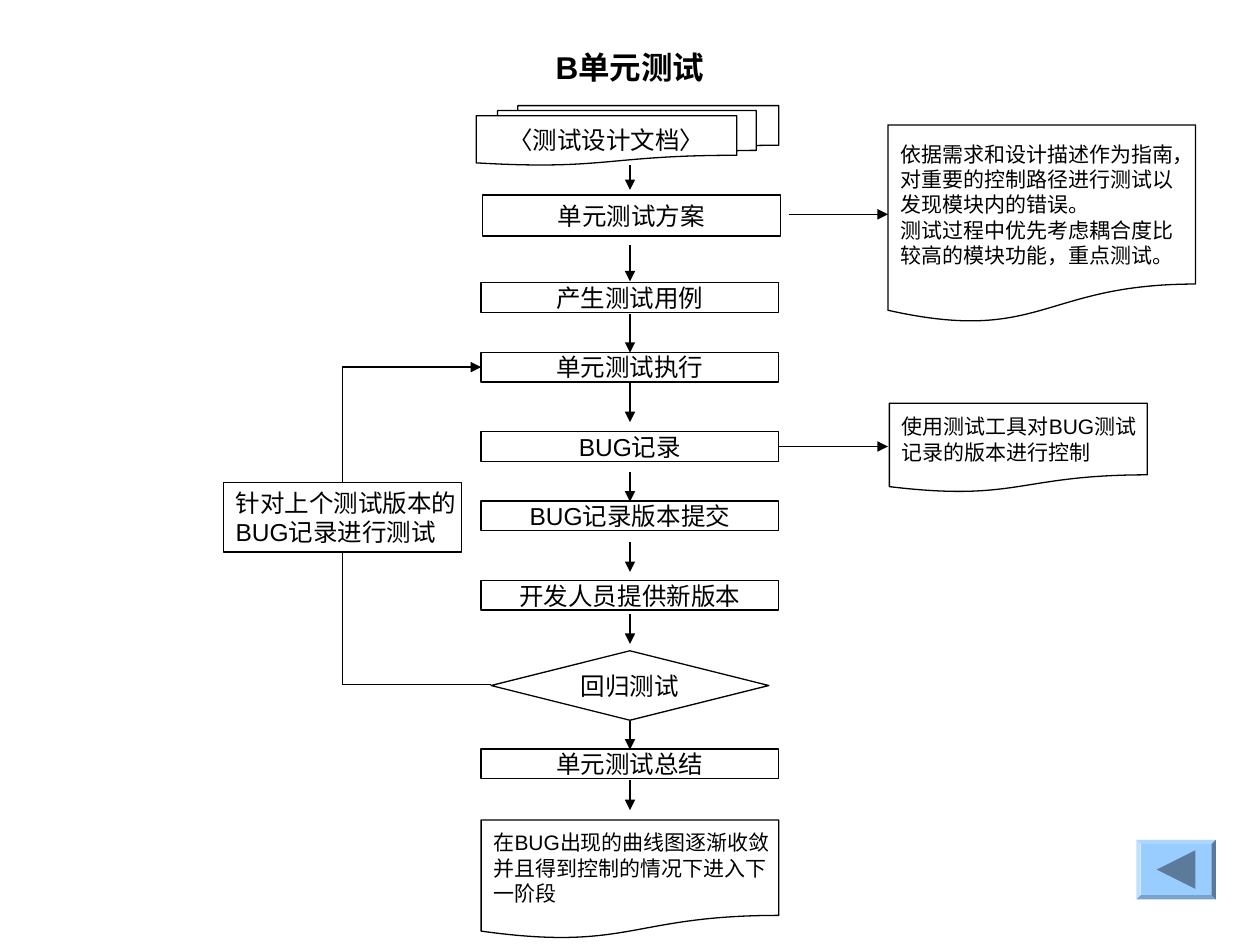
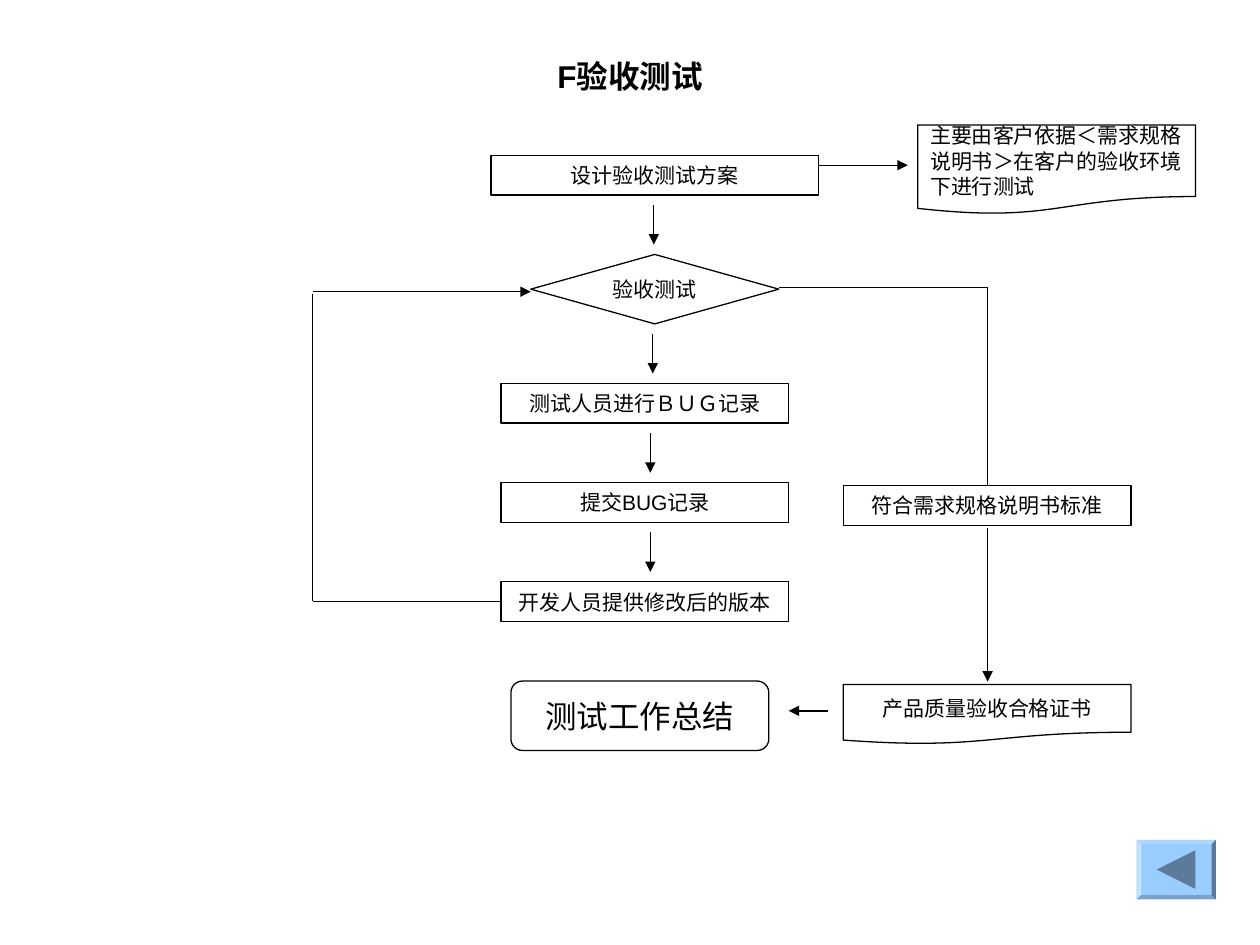
from lxml.etree import SubElement
from pptx import Presentation
from pptx.dml.color import RGBColor
from pptx.enum.lang import MSO_LANGUAGE_ID
from pptx.enum.shapes import MSO_CONNECTOR, MSO_SHAPE
from pptx.enum.text import MSO_ANCHOR, PP_ALIGN
from pptx.oxml.ns import qn
from pptx.util import Cm, Pt

FONT = "Arial"
INK = "000000"
BUTTON_FILL = "99CCFF"
BUTTON_ARROW = "5C7A99"
LINE_WIDTH = Pt(0.75)

PROCESS = MSO_SHAPE.FLOWCHART_PROCESS
DOCUMENT = MSO_SHAPE.FLOWCHART_DOCUMENT


def color(hex_string):
    return RGBColor.from_string(hex_string)


def write_text(shape, text, size, alignment, wrap=False, bold=False):
    """Fill a shape with one paragraph per line of text."""
    frame = shape.text_frame
    frame.word_wrap = wrap
    frame.vertical_anchor = MSO_ANCHOR.MIDDLE
    for index, line in enumerate(text.split("\n")):
        paragraph = frame.add_paragraph() if index else frame.paragraphs[0]
        paragraph.alignment = alignment
        run = paragraph.add_run()
        run.text = line
        run.font.name = FONT
        run.font.size = Pt(size)
        run.font.bold = bold
        run.font.color.rgb = color(INK)
        run.font.language_id = MSO_LANGUAGE_ID.SIMPLIFIED_CHINESE


# All places are in centimetres.
# Nodes: preset, left, top, width, height, text size, text (several lines: left aligned)
unit_steps = [
    (5.7, "产生测试用例"),
    (7.1, "单元测试执行"),
    (8.7, "BUG记录"),
    (10.1, "BUG记录版本提交"),
    (11.7, "开发人员提供新版本"),
    (15.1, "单元测试总结"),
]
unit_nodes = [(PROCESS, 9.7, top, 6, 0.6, 14, text) for top, text in unit_steps] + [
    (MSO_SHAPE.FLOWCHART_MULTIDOCUMENT, 9.6, 2.13, 6.1, 1.2, 14, "〈测试设计文档〉"),
    (PROCESS, 9.73, 3.93, 6, 0.83, 14, "单元测试方案"),
    (MSO_SHAPE.DIAMOND, 9.9, 13.12, 5.6, 1.4, 14, "回归测试"),
    (PROCESS, 4.5, 9.73, 4.8, 1.4, 14, "针对上个测试版本的\nBUG记录进行测试"),
    (DOCUMENT, 17.9, 2.52, 6.2, 4, 12,
     "依据需求和设计描述作为指南，\n对重要的控制路径进行测试以\n发现模块内的错误。\n"
     "测试过程中优先考虑耦合度比\n较高的模块功能，重点测试。"),
    (DOCUMENT, 17.93, 8.13, 5.2, 1.8, 12, "使用测试工具对BUG测试\n记录的版本进行控制"),
    (DOCUMENT, 9.7, 16.53, 6, 2.4, 12,
     "在BUG出现的曲线图逐渐收敛\n并且得到控制的情况下进入下\n一阶段"),
]

# Links: from x, from y, to x, to y, arrowhead
unit_flow = [(3.33, 3.83), (4.93, 5.67), (6.33, 7.11), (7.73, 8.51), (9.52, 10.11),
             (10.93, 11.53), (12.37, 12.98), (14.53, 15.11), (15.73, 16.33)]
unit_links = [(12.7, start, 12.7, end, True) for start, end in unit_flow] + [
    (15.9, 4.32, 17.9, 4.32, True),
    (15.7, 9, 17.9, 9, True),
    (9.9, 13.8, 6.9, 13.8, False),
    (6.9, 13.78, 6.9, 11.13, False),
    (6.9, 9.73, 6.9, 7.4, False),
    (6.9, 7.4, 9.7, 7.4, True),
]

acceptance_steps = ["测试人员进行ＢＵＧ记录", "提交BUG记录", "开发人员提供修改后的版本"]
acceptance_nodes = [
    (PROCESS, 10.1, 7.73 + 2 * row, 5.8, 0.8, 12, text)
    for row, text in enumerate(acceptance_steps)
] + [
    (PROCESS, 9.9, 3.13, 6.6, 0.8, 12, "设计验收测试方案"),
    (MSO_SHAPE.FLOWCHART_DECISION, 10.7, 5.13, 5, 1.4, 12, "验收测试"),
    (DOCUMENT, 18.5, 2.52, 5.6, 1.8, 12,
     "主要由客户依据＜需求规格\n说明书＞在客户的验收环境\n下进行测试"),
    (PROCESS, 17, 9.79, 5.8, 0.8, 12, "符合需求规格说明书标准"),
    (DOCUMENT, 17, 13.8, 5.8, 1.2, 12, "产品质量验收合格证书"),
    (MSO_SHAPE.FLOWCHART_ALTERNATE_PROCESS, 10.3, 13.73, 5.2, 1.4, 18, "测试工作总结"),
]
acceptance_links = [
    (13.18, 4.13, 13.18, 4.93, True),
    (13.16, 6.73, 13.16, 7.53, True),
    (13.11, 8.73, 13.11, 9.53, True),
    (13.11, 10.73, 13.11, 11.53, True),
    (16.5, 3.33, 18.3, 3.33, True),
    (15.7, 5.8, 19.91, 5.8, False),
    (19.91, 5.8, 19.91, 9.79, False),
    (19.91, 10.64, 19.91, 13.74, True),
    (16.7, 14.33, 15.9, 14.33, True),
    (10.1, 12.12, 6.3, 12.12, False),
    (6.3, 5.92, 6.3, 12.12, False),
    (6.3, 5.88, 10.7, 5.88, True),
]

# Slides: title, title height, nodes, links
flowcharts = [
    ("B单元测试", 1.17, unit_nodes, unit_links),
    ("F验收测试", 1.55, acceptance_nodes, acceptance_links),
]

presentation = Presentation()
presentation.slide_width = Cm(25.4)
presentation.slide_height = Cm(19.05)

for title, title_height, nodes, links in flowcharts:
    slide = presentation.slides.add_slide(presentation.slide_layouts[6])

    title_box = slide.shapes.add_textbox(Cm(1.27), Cm(0.76), Cm(22.86), Cm(title_height))
    write_text(title_box, title, 18, PP_ALIGN.CENTER, wrap=True, bold=True)

    for preset, left, top, width, height, size, text in nodes:
        node = slide.shapes.add_shape(preset, Cm(left), Cm(top), Cm(width), Cm(height))
        node.shadow.inherit = False
        node.fill.background()
        node.line.color.rgb = color(INK)
        node.line.width = LINE_WIDTH
        alignment = PP_ALIGN.LEFT if "\n" in text else PP_ALIGN.CENTER
        write_text(node, text, size, alignment)

    for from_x, from_y, to_x, to_y, has_arrowhead in links:
        link = slide.shapes.add_connector(
            MSO_CONNECTOR.STRAIGHT, Cm(from_x), Cm(from_y), Cm(to_x), Cm(to_y))
        link.line.color.rgb = color(INK)
        link.line.width = LINE_WIDTH
        if has_arrowhead:
            SubElement(link.line._get_or_add_ln(), qn("a:tailEnd"), type="triangle")
        SubElement(link._element.spPr, qn("a:effectLst"))

    # Back button: a bevelled plate with an arrow pointing left
    plate = slide.shapes.add_shape(MSO_SHAPE.BEVEL, Cm(22.91), Cm(16.93), Cm(1.6), Cm(1.2))
    plate.adjustments[0] = 0.07
    arrow = slide.shapes.add_shape(
        MSO_SHAPE.ISOSCELES_TRIANGLE, Cm(23.32), Cm(17.14), Cm(0.78), Cm(0.78))
    arrow.rotation = 270
    for part, fill in ((plate, BUTTON_FILL), (arrow, BUTTON_ARROW)):
        part.shadow.inherit = False
        part.fill.solid()
        part.fill.fore_color.rgb = color(fill)
        part.line.fill.background()

presentation.save("out.pptx")
